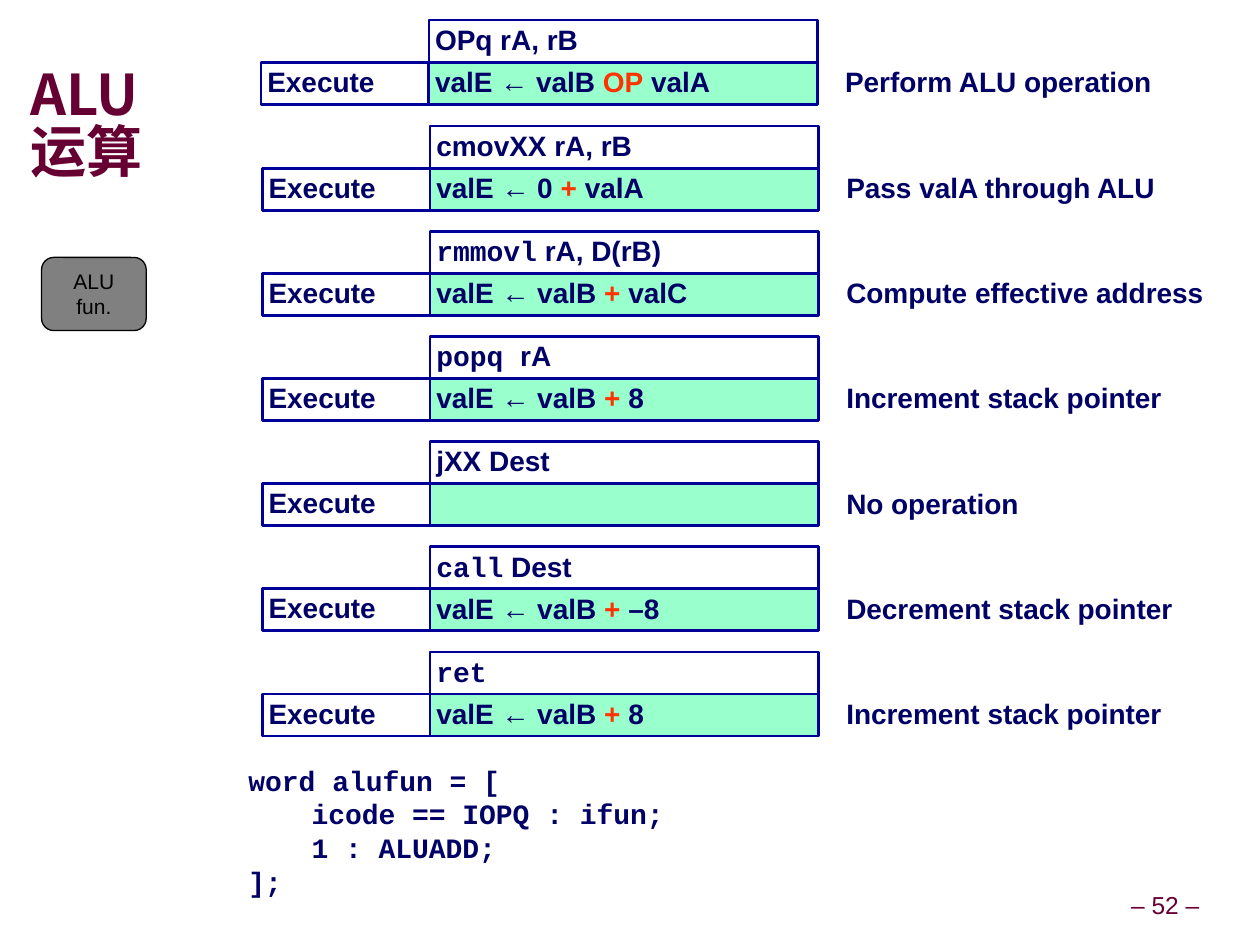
"""Build the ALU operation slide with its Execute-stage table and HCL code."""
from lxml import etree
from pptx import Presentation, util as u
from pptx.dml.color import RGBColor
from pptx.enum import shapes, text
from pptx.oxml.ns import qn

NAVY = RGBColor(0x00, 0x00, 0x66)
BORDER = RGBColor(0x00, 0x00, 0x99)
MINT = RGBColor(0x99, 0xFF, 0xCC)
RED = RGBColor(0xFF, 0x33, 0x00)
WINE = RGBColor(0x66, 0x00, 0x33)
GRAY = RGBColor(0x80, 0x80, 0x80)
BLACK = RGBColor(0x00, 0x00, 0x00)
SANS, MONO, CJK = "Arial", "Courier New", "Noto Sans CJK SC"

TITLE = ("ALU ", "运算")
PAGE = "– 52 –"
UNIT = ("ALU", "fun.")
CODE = ("word alufun = [", "\ticode == IOPQ : ifun;", "\t1 : ALUADD;", "];")
STAGE = "Execute"
INSTRUCTIONS = [
    ("", "OPq rA, rB", ("valE ← valB ", "OP", " valA"), "Perform ALU operation"),
    ("", "cmovXX rA, rB", ("valE ← 0 ", "+ ", "valA"), "Pass valA through ALU"),
    ("rmmovl", " rA, D(rB)", ("valE ← valB ", "+", " valC"), "Compute effective address"),
    ("popq ", "rA", ("valE ← valB ", "+", " 8"), "Increment stack pointer"),
    ("", "jXX Dest", (), "No operation"),
    ("call", " Dest", ("valE ← valB ", "+", " –8"), "Decrement stack pointer"),
    ("ret", "", ("valE ← valB ", "+", " 8"), "Increment stack pointer"),
]

ROW_H = 1 / 3
STAGE_W, CELL_W = 1.33, 3.08
STAGE_X, CELL_X, NOTE_X = 2.08, 3.41, 6.66
FIRST_TOP, SECOND_TOP, PITCH = 0.16, 1.0, 5 / 6
TOP, MIDDLE = text.MSO_ANCHOR.TOP, text.MSO_ANCHOR.MIDDLE


def write(sp, paragraphs, size=16, bold=True, anchor=TOP, align=text.PP_ALIGN.LEFT,
          spacing=0.9, inset=(0.05, 0.05), wrap=True):
    tf = sp.text_frame
    dx, dy = (u.Inches(v) for v in inset)
    frame = {"margin_left": dx, "margin_right": dx, "margin_top": dy,
             "margin_bottom": dy, "word_wrap": wrap, "vertical_anchor": anchor}
    for name, value in frame.items():
        setattr(tf, name, value)
    for i, runs in enumerate(paragraphs):
        p = tf.add_paragraph() if i else tf.paragraphs[0]
        p.alignment, p.line_spacing = align, spacing
        for words, face, color in runs:
            if not words:
                continue
            r = p.add_run()
            r.text = words
            for name, value in {"name": face, "size": u.Pt(size), "bold": bold}.items():
                setattr(r.font, name, value)
            r.font.color.rgb = color
    return tf


def text_box(s, x, y, w, h, paragraphs, **style):
    sp = s.shapes.add_textbox(*map(u.Inches, (x, y, w, h)))
    return write(sp, paragraphs, **style)


def box(s, x, y, w, h, paragraphs, fill=None, line=BORDER, weight=1.5,
        kind=shapes.MSO_SHAPE.RECTANGLE, **style):
    sp = s.shapes.add_shape(kind, *map(u.Inches, (x, y, w, h)))
    sp.shadow.inherit = False
    if fill is None:
        sp.fill.background()
    else:
        sp.fill.solid()
        sp.fill.fore_color.rgb = fill
    sp.line.color.rgb = line
    sp.line.width = u.Pt(weight)
    write(sp, paragraphs, **style)


def add_title(s):
    first, second = ([(words, CJK, WINE)] for words in TITLE)
    tf = text_box(s, 0.24, 0.58, 9.52, 0.85, [first], size=32, anchor=MIDDLE,
                  spacing=0.85, inset=(0, 0))
    p = tf.paragraphs[0]
    p.add_line_break()
    r = p.add_run()
    r.text = second[0][0]
    r.font.name, r.font.size, r.font.bold = CJK, u.Pt(32), True
    r.font.color.rgb = WINE
    for r in p.runs:
        ea = etree.SubElement(r.font._element, qn("a:ea"))
        ea.set("typeface", CJK)


def add_instruction(s, i, mono, sans, formula, note):
    top = SECOND_TOP + (i - 1) * PITCH if i else FIRST_TOP
    shift = 0 if i else -0.01
    row = top + ROW_H
    colors = (NAVY, RED, NAVY)
    effect = [(words, SANS, color) for words, color in zip(formula, colors)]
    name = [(mono, MONO, NAVY), (sans, SANS, NAVY)]
    box(s, CELL_X + shift, row, CELL_W, ROW_H, [effect], fill=MINT)
    box(s, CELL_X + shift, top, CELL_W, ROW_H, [name])
    box(s, STAGE_X + shift, row, STAGE_W, ROW_H, [[(STAGE, SANS, NAVY)]], anchor=MIDDLE)
    text_box(s, NOTE_X + shift, row, CELL_W, ROW_H, [[(note, SANS, NAVY)]])


def main():
    prs = Presentation()
    prs.slide_width, prs.slide_height = u.Inches(9.99), u.Inches(7.49)
    s = prs.slides.add_slide(prs.slide_layouts[6])
    center = {"align": text.PP_ALIGN.CENTER, "anchor": MIDDLE, "bold": False, "wrap": False}
    text_box(s, 8.91, 7.03, 0.66, 0.31, [[(PAGE, SANS, WINE)]], size=14, **center)
    add_title(s)
    text_box(s, 1.92, 6, 6.25, 1.17, [[(row, MONO, NAVY)] for row in CODE], spacing=1.0)
    for i, instruction in enumerate(INSTRUCTIONS):
        add_instruction(s, i, *instruction)
    box(s, 0.33, 2.04, 0.83, 0.58, [[(row, SANS, BLACK)] for row in UNIT], fill=GRAY,
        line=BLACK, weight=0.75, kind=shapes.MSO_SHAPE.ROUNDED_RECTANGLE, size=12,
        spacing=1.0, inset=(0.1, 0.05), **center)
    prs.save("out.pptx")


if __name__ == "__main__":
    main()
